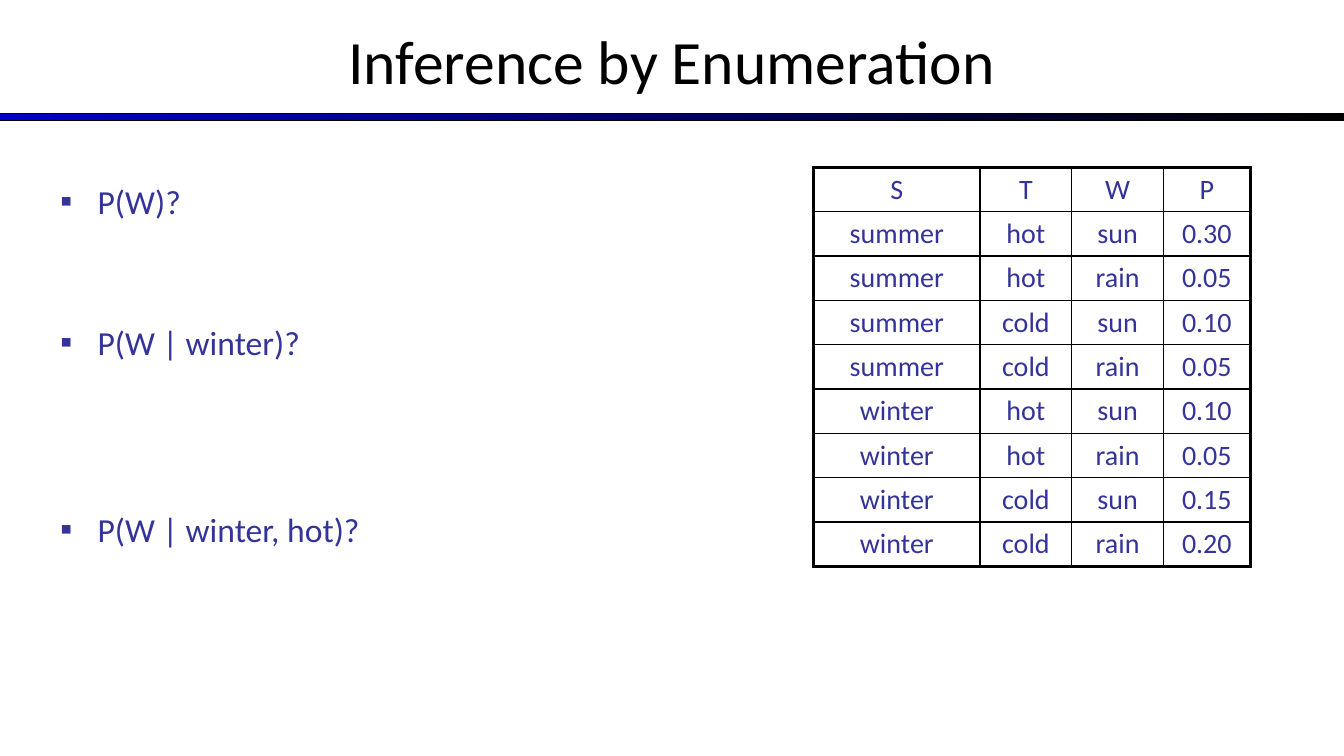
import pptx
import pptx.util
import pptx.dml.color
import pptx.enum.shapes
import pptx.enum.text
import pptx.oxml.ns
from lxml import etree
from pptx.util import Inches, Pt

BLACK = pptx.dml.color.RGBColor(0x00, 0x00, 0x00)
BLUE = pptx.dml.color.RGBColor(0x00, 0x00, 0xCC)
INDIGO = pptx.dml.color.RGBColor(0x33, 0x33, 0x99)
FONT = "Calibri"
CENTER = pptx.enum.text.PP_ALIGN.CENTER

# Each question with the space before it, in points
QUESTIONS = [("P(W)?", 0), ("P(W | winter)?", 71.4), ("P(W | winter, hot)?", 105)]

COLUMN_WIDTHS = [1.65, 0.91, 0.91, 0.86]
ROW_HEIGHT = 0.44
JOINT_TABLE = [
    ("S", "T", "W", "P"),
    ("summer", "hot", "sun", "0.30"),
    ("summer", "hot", "rain", "0.05"),
    ("summer", "cold", "sun", "0.10"),
    ("summer", "cold", "rain", "0.05"),
    ("winter", "hot", "sun", "0.10"),
    ("winter", "hot", "rain", "0.05"),
    ("winter", "cold", "sun", "0.15"),
    ("winter", "cold", "rain", "0.20"),
]


def sub(parent, tag, **attrs):
    return etree.SubElement(parent, pptx.oxml.ns.qn(tag), attrs)


def add_run(p, text, size, color):
    r = p.add_run()
    r.text = text
    r.font.name = FONT
    r.font.size = Pt(size)
    r.font.color.rgb = color


def add_text_frame(slide, left, top, width, height):
    tf = slide.shapes.add_textbox(
        Inches(left), Inches(top), Inches(width), Inches(height)).text_frame
    tf.word_wrap = True
    return tf


def add_rule(slide):
    sp = slide.shapes.add_shape(
        pptx.enum.shapes.MSO_SHAPE.RECTANGLE,
        Inches(0), Inches(1.13), Inches(13.33), Inches(0.07))
    sp.shadow.inherit = False
    sp.fill.gradient()
    sp.fill.gradient_angle = 0
    for stop, color in zip(sp.fill.gradient_stops, (BLUE, BLACK)):
        stop.color.rgb = color
    sp.line.color.rgb = BLACK
    sp.line.width = Pt(0.75)


def add_title(slide, text):
    tf = add_text_frame(slide, 0, -0.03, 13.33, 1.25)
    tf.vertical_anchor = pptx.enum.text.MSO_ANCHOR.MIDDLE
    p = tf.paragraphs[0]
    p.alignment = CENTER
    add_run(p, text, 44, BLACK)


def add_bullets(slide, items):
    tf = add_text_frame(slide, 0.5, 1.75, 4.42, 4.95)
    for i, (text, space) in enumerate(items):
        p = tf.add_paragraph() if i else tf.paragraphs[0]
        p.space_before = Pt(space)
        add_run(p, text, 24, INDIGO)
        pPr = p._p.get_or_add_pPr()
        pPr.set("marL", str(Inches(0.37)))
        pPr.set("indent", str(Inches(-0.37)))
        sub(sub(pPr, "a:buClr"), "a:srgbClr", val=str(INDIGO))
        sub(pPr, "a:buFont", typeface=FONT)
        sub(pPr, "a:buChar", char="▪")


def set_borders(cell, widths):
    tcPr = cell._tc.get_or_add_tcPr()
    for side, width in zip("LRTB", widths):
        ln = sub(tcPr, f"a:ln{side}", w=str(Pt(width)))
        sub(sub(ln, "a:solidFill"), "a:srgbClr", val=str(BLACK))


def add_table(slide, rows):
    last_row, last_col = len(rows) - 1, len(COLUMN_WIDTHS) - 1
    table = slide.shapes.add_table(
        len(rows), len(COLUMN_WIDTHS), Inches(8.07), Inches(1.66),
        Inches(sum(COLUMN_WIDTHS)), Inches(ROW_HEIGHT * len(rows))).table
    table.first_row = table.horz_banding = False
    for column, width in zip(table.columns, COLUMN_WIDTHS):
        column.width = Inches(width)
    for i, values in enumerate(rows):
        table.rows[i].height = Inches(ROW_HEIGHT)
        for j, value in enumerate(values):
            cell = table.cell(i, j)
            # Thick outer frame, thin inner lines
            outer = (j == 0, j == last_col, i == 0, i == last_row)
            set_borders(cell, [2.25 if edge else 1 for edge in outer])
            cell.fill.background()
            p = cell.text_frame.paragraphs[0]
            p.alignment = CENTER
            add_run(p, value, 20, INDIGO)


def main():
    prs = pptx.Presentation()
    prs.slide_width, prs.slide_height = Inches(13.33), Inches(7.5)
    slide = prs.slides.add_slide(prs.slide_layouts[6])
    # Heading
    add_rule(slide)
    add_title(slide, "Inference by Enumeration")
    # Questions and joint distribution
    add_bullets(slide, QUESTIONS)
    add_table(slide, JOINT_TABLE)
    prs.save("out.pptx")


if __name__ == "__main__":
    main()
